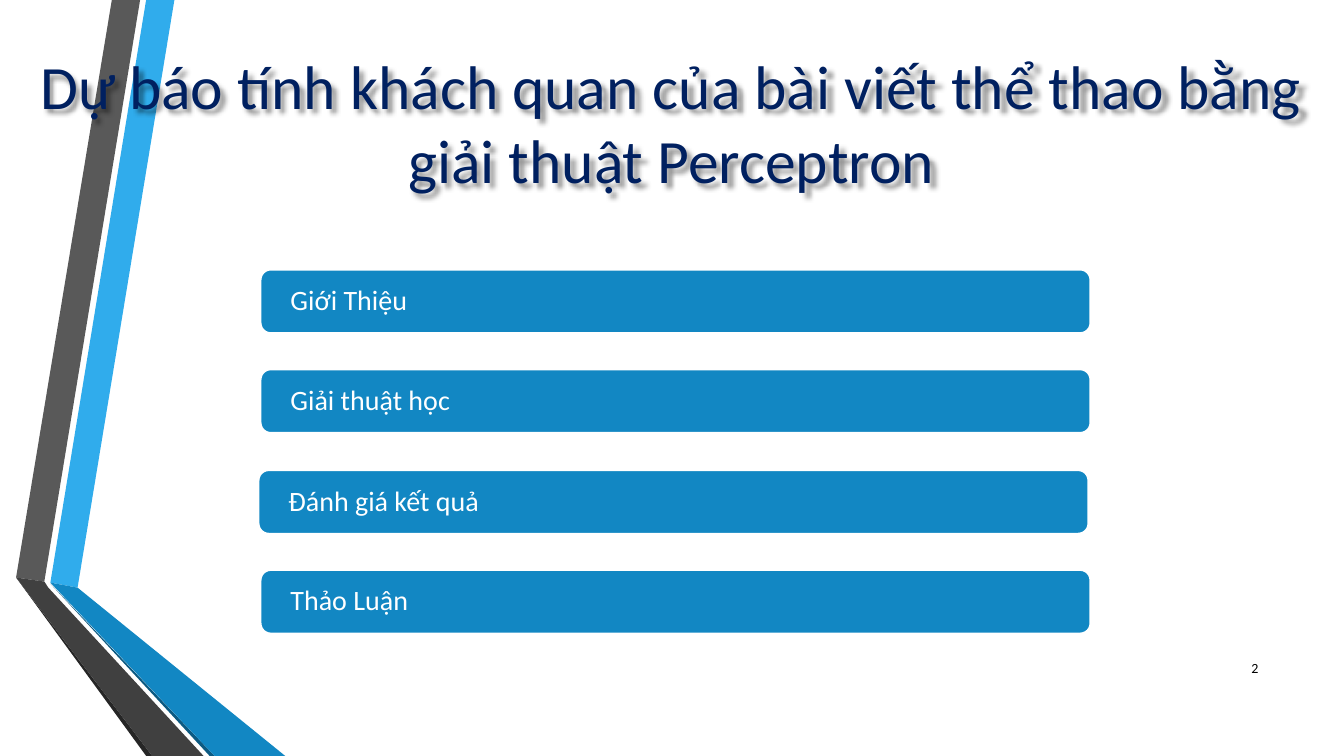
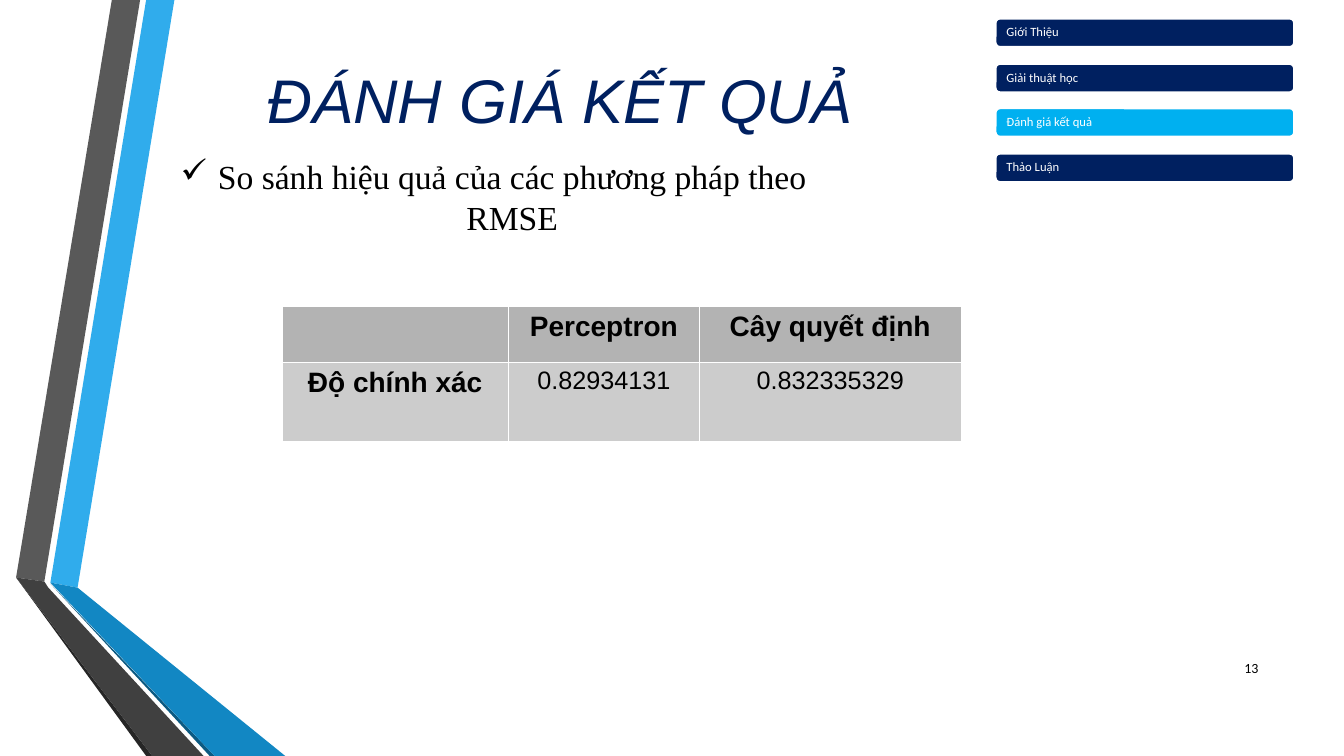
from pptx import Presentation
from pptx.dml.color import RGBColor
from pptx.enum.shapes import MSO_SHAPE
from pptx.enum.text import MSO_ANCHOR, PP_ALIGN
from pptx.oxml import parse_xml
from pptx.oxml.ns import nsdecls
from pptx.util import Pt

PX = 9144  # 100 px to the inch
ROUND = MSO_SHAPE.ROUNDED_RECTANGLE
TOP, MIDDLE = MSO_ANCHOR.TOP, MSO_ANCHOR.MIDDLE
LEFT, CENTER, RIGHT = PP_ALIGN.LEFT, PP_ALIGN.CENTER, PP_ALIGN.RIGHT
HEX = {
    "white": "FFFFFF", "black": "000000", "navy": "002060",
    "sky": "30ACEC", "blue": "1287C3", "deep": "0C5A82", "cyan": "00B0F0",
    "gray": "595959", "dark": "404040", "coal": "262626",
    "head": "B3B3B3", "body": "CCCCCC",
}
RIBBON = [
    ("sky", [(50, 578), (77, 583), (173, 0), (145, 0)]),
    ("gray", [(139, 0), (111, 0), (16, 573), (44, 577)]),
    ("coal", [(16, 573), (145, 750), (151, 750)]),
    ("deep", [(50, 579), (208, 750), (213, 750)]),
    ("blue", [(50, 578), (213, 750), (283, 750), (77, 583)]),
    ("dark", [(202, 750), (48, 583), (44, 577), (16, 573), (151, 750)]),
]
TOPICS = ["Giới Thiệu", "Giải thuật học", "Đánh giá kết quả", "Thảo Luận"]
TITLE = {"size": Pt(44), "name": "Calibri", "color": "navy"}
NUMBER = {"size": Pt(10), "name": "Calibri", "color": "black"}
POINT = {"size": Pt(24), "name": "Times New Roman", "color": "black"}
LABEL = {"size": Pt(20), "name": "Arial", "color": "black", "bold": True}
VALUE = {**LABEL, "size": Pt(18), "bold": False}


def xml(tag, attrs="", inner=""):
    return parse_xml(f"<a:{tag} {nsdecls('a')} {attrs}>{inner}</a:{tag}>")


def solid(color):
    return f'<a:solidFill><a:srgbClr val="{HEX[color]}"/></a:solidFill>'


def paint(fill, color):
    fill.solid()
    fill.fore_color.rgb = RGBColor.from_string(HEX[color])


class Deck:
    def __init__(self):
        self.file = Presentation()
        self.file.slide_width, self.file.slide_height = 1333 * PX, 750 * PX
        self.slide = None

    def page(self, number):
        """Start a slide with the ribbon and its number."""
        self.slide = self.file.slides.add_slide(self.file.slide_layouts[6])
        for color, points in RIBBON:
            self.shape(color, points)
        self.text((1198, 643, 60, 40), number, NUMBER, RIGHT)

    def shape(self, color, points):
        form = self.slide.shapes.build_freeform(*points[0], scale=PX)
        form.add_line_segments(points[1:], close=True)
        part = form.convert_to_shape()
        part.shadow.inherit = False
        paint(part.fill, color)
        part.line.fill.background()

    def put(self, frame, words, style, align):
        """Set the words as the first paragraph of the frame."""
        para = frame.paragraphs[0]
        para.alignment = align
        run = para.add_run()
        run.text = words
        for key, value in style.items():
            if key == "color":
                run.font.color.rgb = RGBColor.from_string(HEX[value])
            else:
                setattr(run.font, key, value)
        return para

    def text(self, box, words, style, align=CENTER, anchor=MIDDLE, wrap=True):
        item = self.slide.shapes.add_textbox(*(n * PX for n in box))
        frame = item.text_frame
        frame.word_wrap, frame.vertical_anchor = wrap, anchor
        self.put(frame, words, style, align)
        return item

    def title(self, box, words, shadow=False, **extra):
        item = self.text(box, words, {**TITLE, **extra})
        if shadow:
            tone = '<a:srgbClr val="000000"><a:alpha val="43000"/></a:srgbClr>'
            cast = 'blurRad="38100" dist="38100" dir="2700000" algn="tl"'
            item.element.spPr.append(xml(
                "effectLst", "", f"<a:outerShdw {cast}>{tone}</a:outerShdw>"))

    def point(self, box, words):
        """Set one line with a check mark as its bullet."""
        item = self.text(box, words, POINT, CENTER, TOP, False)
        props = item.text_frame.paragraphs[0]._p.get_or_add_pPr()
        props.set("marL", str(38 * PX))
        props.set("indent", str(-37 * PX))
        props.append(xml("buClr", "", f'<a:srgbClr val="{HEX["black"]}"/>'))
        props.append(xml("buChar", 'char="✓"'))

    def agenda(self, box, span, size, inset, after, fills, shift=0):
        """Spread the topics evenly; shift moves the third one sideways."""
        left, top, width, height = box
        side, edge = inset
        for i, (topic, fill) in enumerate(zip(TOPICS, fills)):
            x = left + (shift if i == 2 else 0)
            y = top + round(i * span / (len(TOPICS) - 1))
            bar = self.slide.shapes.add_shape(
                ROUND, x * PX, y * PX, width * PX, height * PX)
            bar.shadow.inherit = False
            paint(bar.fill, fill)
            paint(bar.line.fill, "white")
            bar.line.width = Pt(2)
            frame = bar.text_frame
            form = {"margin_left": side * PX, "margin_right": side * PX,
                    "margin_top": edge * PX, "margin_bottom": edge * PX,
                    "vertical_anchor": MIDDLE, "word_wrap": True}
            for key, value in form.items():
                setattr(frame, key, value)
            style = {"size": Pt(size), "name": "Calibri", "color": "white"}
            para = self.put(frame, topic, style, LEFT)
            para.line_spacing, para.space_after = 0.9, Pt(after)

    def table(self, spot, cols, rows, data):
        box = (*spot, sum(cols), sum(rows))
        grid = self.slide.shapes.add_table(
            len(rows), len(cols), *(n * PX for n in box)).table
        for col, width in zip(grid.columns, cols):
            col.width = width * PX
        for row, height in zip(grid.rows, rows):
            row.height = height * PX
        for r, line in enumerate(data):
            for c, words in enumerate(line):
                cell = grid.cell(r, c)
                paint(cell.fill, "body" if r else "head")
                props = cell._tc.get_or_add_tcPr()
                for i, side in enumerate("LRTB"):
                    props.insert(i, xml(f"ln{side}", 'w="6350"', solid("white")))
                if words:
                    style = VALUE if r and c else LABEL
                    self.put(cell.text_frame, words, style, CENTER)


def main():
    deck = Deck()

    deck.page("2")
    deck.agenda((258, 267, 824, 64), 298, 20, (27, 3), 7, ["blue"] * 4, -2)
    deck.title((9, 40, 1314, 162),
               "Dự báo tính khách quan của bài viết thể thao bằng "
               "giải thuật Perceptron", shadow=True)

    deck.page("13")
    deck.point((119, 150, 740, 50),
               "So sánh hiệu quả của các phương pháp theo RMSE")
    deck.agenda((987, 18, 297, 29), 134, 9, (10, 1), 3.1,
                ["navy", "navy", "cyan", "navy"])
    deck.title((8, 2, 1096, 192), "ĐÁNH GIÁ KẾT QUẢ",
               name="Arial", italic=True)
    deck.table((280, 304), [224, 190, 259], [55, 79], [
        ["", "Perceptron", "Cây quyết định"],
        ["Độ chính xác", "0.82934131", "0.832335329"],
    ])
    deck.file.save("out.pptx")


if __name__ == "__main__":
    main()
